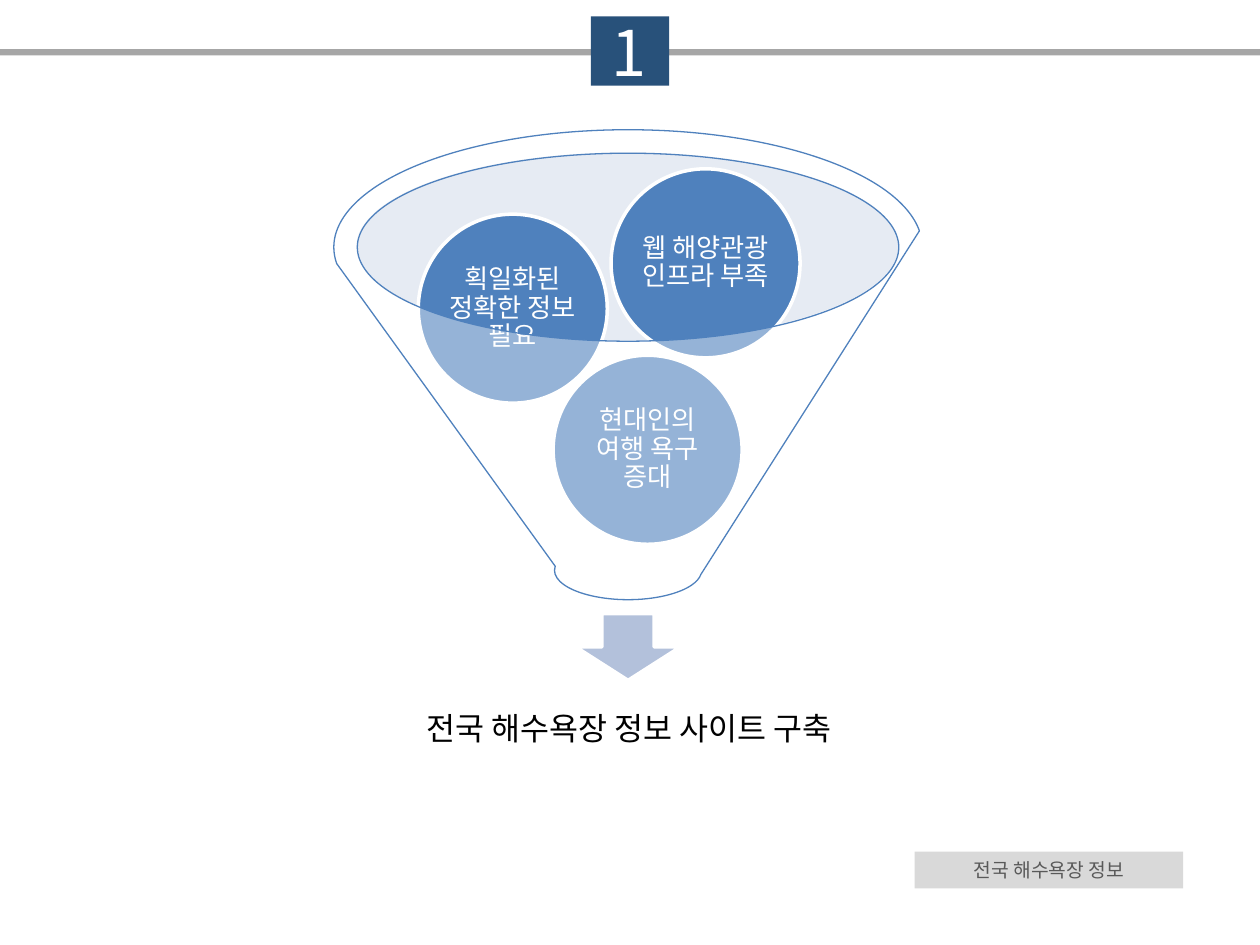
import pptx
import pptx.dml.color
import pptx.enum.shapes
import pptx.enum.text
import pptx.oxml
import pptx.util
from pptx.util import Inches

SHAPE = pptx.enum.shapes.MSO_SHAPE
ANCHOR = pptx.enum.text.MSO_ANCHOR
FONT = "Noto Sans CJK KR"
BLUE = "4F81BD"
WHITE = "FFFFFF"


def color(value):
    return pptx.dml.color.RGBColor.from_string(value)


def set_opacity(sp, percent):
    clr = sp.fill._xPr.find(".//" + pptx.oxml.ns.qn("a:srgbClr"))
    alpha = pptx.oxml.xmlchemy.OxmlElement("a:alpha")
    alpha.set("val", str(percent * 1000))
    clr.append(alpha)


def add_shape(s, kind, box, fill, line=None, width=2, opacity=None):
    sp = s.shapes.add_shape(kind, *map(Inches, box))
    sp.shadow.inherit = False
    sp.fill.solid()
    sp.fill.fore_color.rgb = color(fill)
    if opacity is not None:
        set_opacity(sp, opacity)
    if line:
        sp.line.color.rgb = color(line)
        sp.line.width = pptx.util.Pt(width)
    else:
        sp.line.fill.background()
    return sp


def write(sp, text, size, fill, anchor=ANCHOR.TOP, inset=None, line=None, after=None, spacing=None):
    tf = sp.text_frame
    tf.word_wrap = True
    tf.vertical_anchor = anchor
    if inset is not None:
        tf.margin_left = tf.margin_right = Inches(inset)
        tf.margin_top = tf.margin_bottom = Inches(inset)
    p = tf.paragraphs[0]
    p.alignment = pptx.enum.text.PP_ALIGN.CENTER
    p.line_spacing = line
    if after is not None:
        p.space_after = pptx.util.Pt(after)
    r = p.add_run()
    r.text = text
    r.font.size = pptx.util.Pt(size)
    r.font.name = FONT
    r.font.color.rgb = color(fill)
    rPr = r.font._element
    ea = pptx.oxml.xmlchemy.OxmlElement("a:ea")
    ea.set("typeface", FONT)
    rPr.find(pptx.oxml.ns.qn("a:latin")).addnext(ea)
    if spacing is not None:
        rPr.set("spc", str(spacing * 100))


def add_text(s, box, text, **fmt):
    write(s.shapes.add_textbox(*map(Inches, box)), text, **fmt)


def add_header(s, number):
    for left in (-0.01, 5.3):
        add_shape(s, SHAPE.RECTANGLE, (left, 0.39, 4.72, 0.05), "A6A6A6")
    add_shape(s, SHAPE.RECTANGLE, (4.69, 0.13, 0.62, 0.55), "28517A")
    add_text(s, (4.56, 0.06, 0.87, 0.71), number, size=36, fill=WHITE, spacing=3)


def add_footer(s, text):
    sp = add_shape(s, SHAPE.RECTANGLE, (7.26, 6.76, 2.13, 0.29), "D9D9D9")
    write(sp, text, size=11, fill="595959")


def add_ball(s, left, top, text):
    size, pad = 1.5, 0.22
    add_shape(s, SHAPE.OVAL, (left, top, size, size), BLUE, line=WHITE)
    inner = size - 2 * pad
    add_text(s, (left + pad, top + pad, inner, inner), text, size=15, fill=WHITE,
             anchor=ANCHOR.MIDDLE, inset=0.02, line=0.9, after=5.25)


def add_funnel(s, balls, result):
    add_shape(s, SHAPE.OVAL, (2.83, 1.21, 4.3, 1.49), "C2CDE1", opacity=40)
    add_shape(s, SHAPE.DOWN_ARROW, (4.57, 4.87, 0.83, 0.53), "B3C1DB", line=WHITE)
    add_text(s, (2.99, 5.3, 4, 1), result, size=18, fill="000000",
             anchor=ANCHOR.MIDDLE, inset=0.14, line=0.9, after=6.3)
    for left, top, text in balls:
        add_ball(s, left, top, text)
    add_shape(s, SHAPE.FUNNEL, (2.65, 1.03, 4.67, 3.73), WHITE,
              line=BLUE, width=0.75, opacity=40)


def main():
    prs = pptx.Presentation()
    prs.slide_width, prs.slide_height = Inches(10), Inches(7.5)
    s = prs.slides.add_slide(prs.slide_layouts[6])
    add_header(s, "1")
    add_footer(s, "전국 해수욕장 정보")
    balls = [
        (4.39, 2.82, "현대인의 여행 욕구 증대"),
        (3.32, 1.7, "획일화된 정확한 정보 필요"),
        (4.85, 1.34, "웹 해양관광 인프라 부족"),
    ]
    add_funnel(s, balls, "전국 해수욕장 정보 사이트 구축")
    prs.save("out.pptx")


if __name__ == "__main__":
    main()
